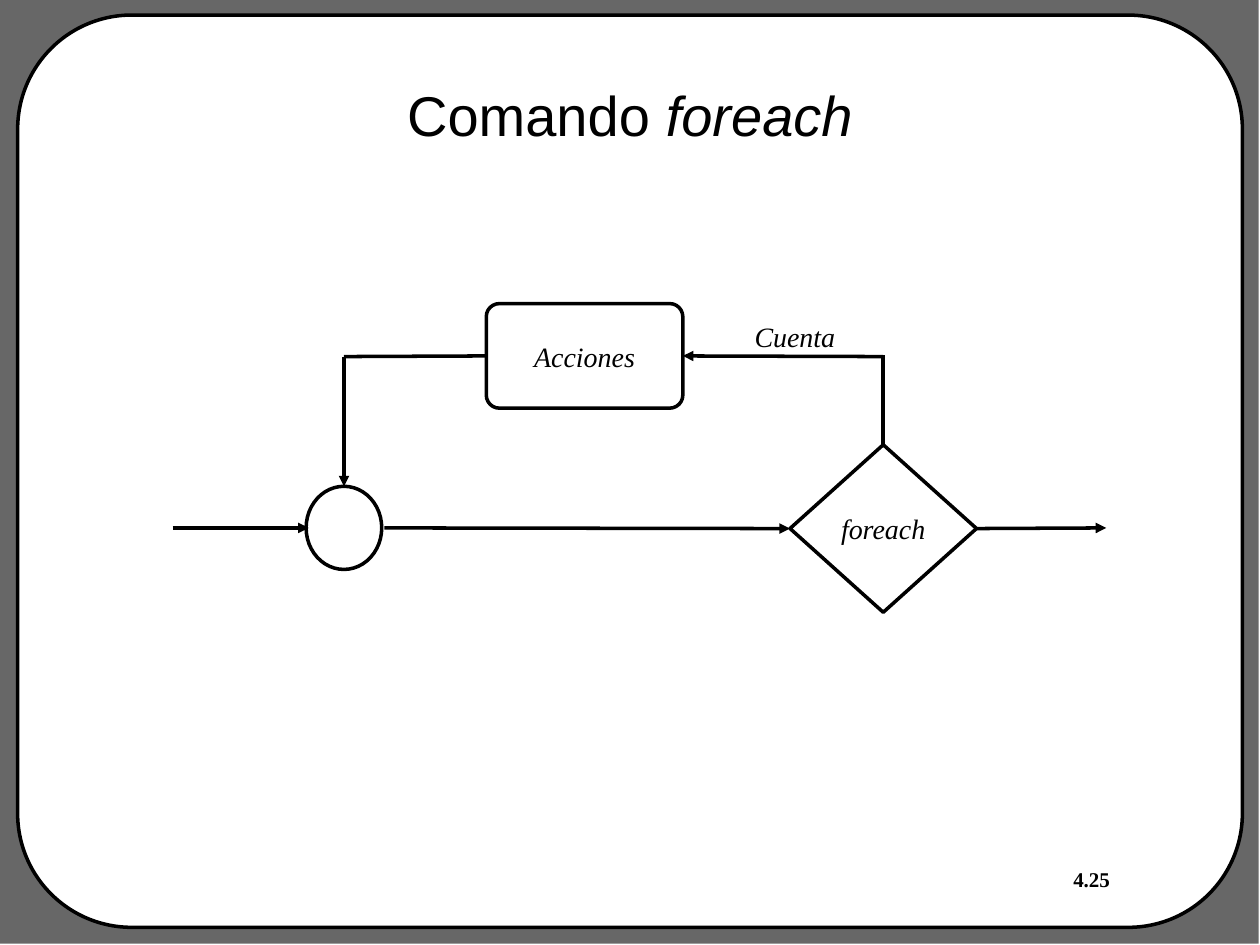
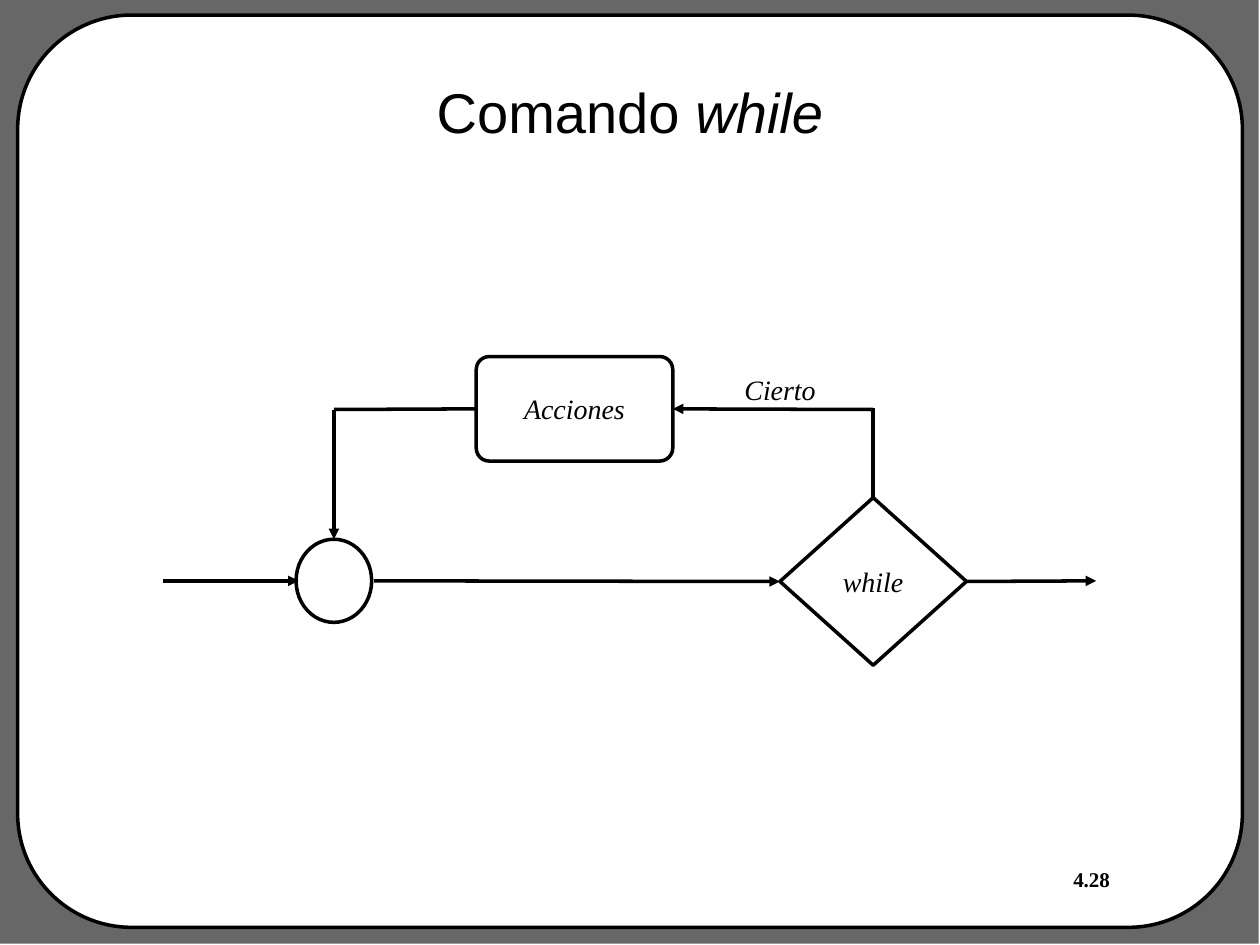
from lxml import etree
from pptx import Presentation
from pptx import util as u
from pptx.dml.color import RGBColor
from pptx.enum import shapes, text
from pptx.oxml import ns

INK, PAPER, BORDER = "000000", "FFFFFF", "676767"
TITLE_FONT, BODY_FONT = "Arial", "Times New Roman"
LINE_WIDTH = u.Pt(2)
Inches = u.Inches


def outline(shape, fill=None, line=INK):
    """Set the fill and line of a shape; None leaves either out."""
    shape.shadow.inherit = False
    for target, colour in ((shape.fill, fill), (shape.line.fill, line)):
        if colour:
            target.solid()
            target.fore_color.rgb = RGBColor.from_string(colour)
        else:
            target.background()
    if line:
        shape.line.width = LINE_WIDTH


def write(shape, content, size=16, font=BODY_FONT, bold=False, italic=False,
          align=text.PP_ALIGN.LEFT, anchor=text.MSO_ANCHOR.TOP, wrap=False):
    """Add a run to the first paragraph of a shape and format it."""
    frame = shape.text_frame
    frame.word_wrap = wrap
    frame.vertical_anchor = anchor
    para = frame.paragraphs[0]
    para.alignment = align
    span = para.add_run()
    span.text = content
    span.font.size = u.Pt(size)
    span.font.name = font
    span.font.bold = bold
    span.font.italic = italic
    span.font.color.rgb = RGBColor.from_string(INK)


deck = Presentation()
deck.slide_width, deck.slide_height = Inches(10), Inches(7.5)
layout = deck.slide_layouts[5]

# keyword, loop label, page number, title top, diagram offset
loops = [
    ("foreach", "Cuenta", "4.25", 0.28, 0, 0),
    ("while", "Cierto", "4.28", 0.26, -0.08, 0.42),
]
pages = [deck.slides.add_slide(layout) for _ in loops]

# Shared frame, drawn once and kept in the layout behind everything
backdrop = pages[0].shapes.add_shape(
    shapes.MSO_SHAPE.RECTANGLE, 0, 0, Inches(9.99), Inches(7.49))
outline(backdrop, fill=BORDER, line=None)
panel = pages[0].shapes.add_shape(
    shapes.MSO_SHAPE.ROUNDED_RECTANGLE,
    Inches(0.14), Inches(0.12), Inches(9.72), Inches(7.24))
panel.adjustments[0] = 0.125
outline(panel, fill=PAPER)
for position, part in enumerate((backdrop, panel), start=2):
    layout.shapes.element.insert(position, part.element)

centred = dict(align=text.PP_ALIGN.CENTER, anchor=text.MSO_ANCHOR.MIDDLE)

for page, (keyword, label, number, title_top, dx, dy) in zip(pages, loops):
    # Title
    title = page.shapes.title
    title.left, title.top = Inches(0.75), Inches(title_top)
    title.width, title.height = Inches(8.5), Inches(1.25)
    for words, italic in (("Comando ", False), (keyword, True)):
        write(title, words, size=32, font=TITLE_FONT, italic=italic,
              wrap=True, **centred)

    # Page number
    box = page.shapes.add_textbox(
        Inches(8.42), Inches(6.83), Inches(0.83), Inches(0.3))
    write(box, number, size=12, bold=True, wrap=True)

    # Flowchart nodes
    nodes = {}
    for name, kind, left, top, width, height, words in (
        ("test", shapes.MSO_SHAPE.DIAMOND, 6.27, 3.53, 1.48, 1.33, keyword),
        ("actions", shapes.MSO_SHAPE.ROUNDED_RECTANGLE,
         3.86, 2.41, 1.56, 0.83, "Acciones"),
        ("merge", shapes.MSO_SHAPE.OVAL, 2.43, 3.86, 0.6, 0.66, None),
    ):
        node = page.shapes.add_shape(
            kind, Inches(left + dx), Inches(top + dy),
            Inches(width), Inches(height))
        outline(node)
        if words:
            write(node, words, italic=True, **centred)
        nodes[name] = node
    nodes["actions"].adjustments[0] = 0.125

    # Links: start, end, arrow, (node, side) joined at start and at end
    for start, end, arrow, begin, finish in (
        ((1.37, 4.19), (2.45, 4.19), True, None, None),
        ((3.05, 4.19), (6.27, 4.19), True, None, ("test", 1)),
        ((7.75, 4.19), (8.78, 4.19), True, ("test", 3), None),
        ((7.01, 3.53), (7.01, 2.82), False, ("test", 0), None),
        ((7.01, 2.83), (5.42, 2.83), True, None, ("actions", 3)),
        ((3.86, 2.83), (2.73, 2.83), False, ("actions", 1), None),
        ((2.73, 2.83), (2.73, 3.86), True, None, ("merge", 0)),
    ):
        link = page.shapes.add_connector(
            shapes.MSO_CONNECTOR.STRAIGHT,
            Inches(start[0] + dx), Inches(start[1] + dy),
            Inches(end[0] + dx), Inches(end[1] + dy))
        if begin:
            link.begin_connect(nodes[begin[0]], begin[1])
        if finish:
            link.end_connect(nodes[finish[0]], finish[1])
        link.line.color.rgb = RGBColor.from_string(INK)
        link.line.width = LINE_WIDTH
        if arrow:
            etree.SubElement(link.line.fill._xPr, ns.qn("a:tailEnd"),
                             type="triangle")
        properties = link.element.find(ns.qn("p:spPr"))
        etree.SubElement(properties, ns.qn("a:effectLst"))

    # Label on the loop branch
    box = page.shapes.add_textbox(
        Inches(5.89 + dx), Inches(2.49 + dy), Inches(0.85), Inches(0.38))
    write(box, label, italic=True)

deck.save("out.pptx")
